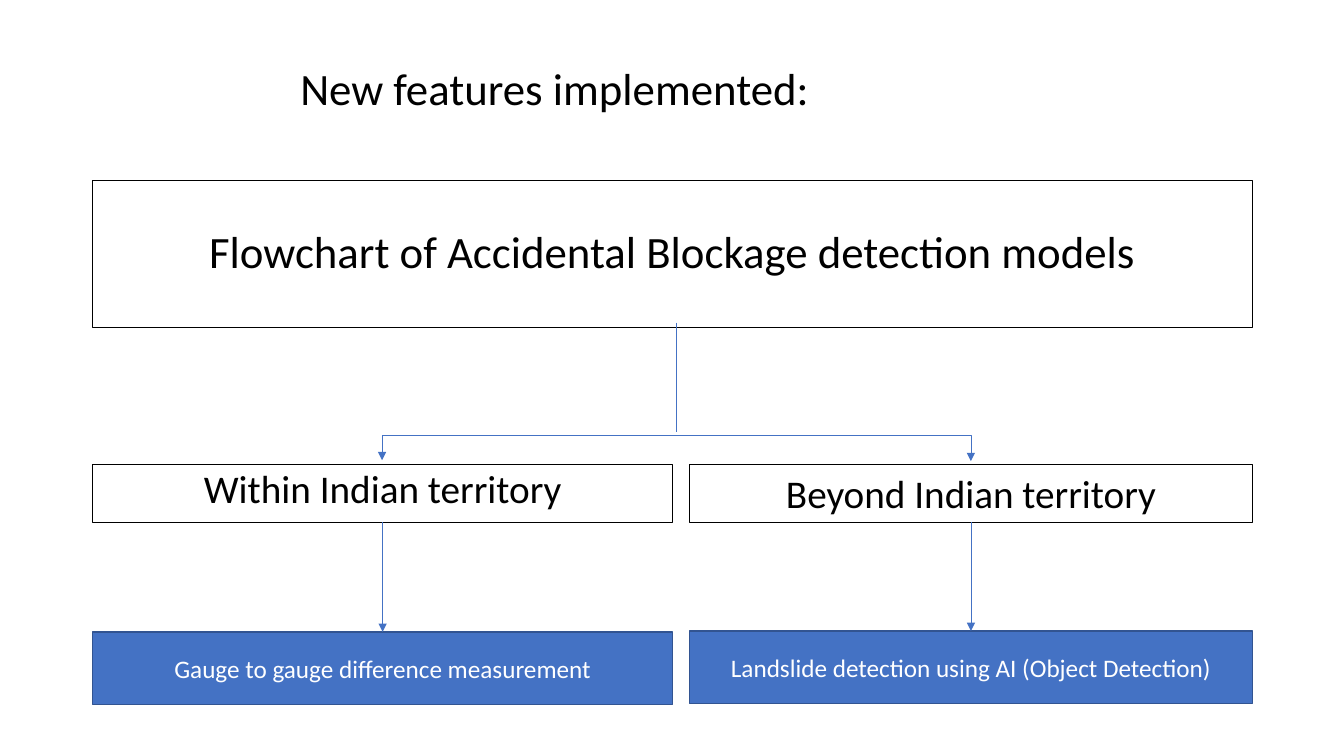
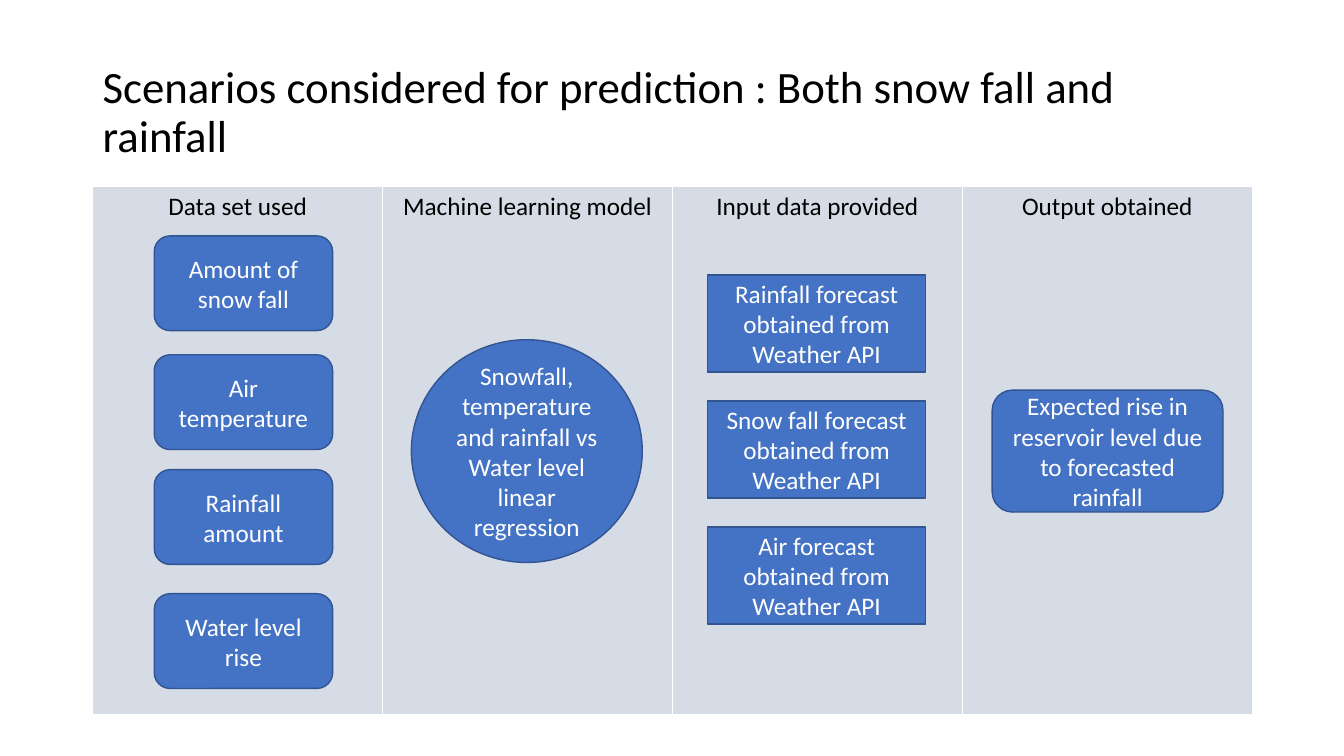
from dataclasses import dataclass

from lxml.etree import SubElement
from pptx import Presentation
from pptx.dml.color import RGBColor
from pptx.enum.shapes import MSO_CONNECTOR as Link, MSO_SHAPE as Form
from pptx.enum.text import MSO_ANCHOR as Anchor, PP_ALIGN as Align
from pptx.oxml import parse_xml
from pptx.oxml.ns import nsdecls, qn
from pptx.util import Inches, Pt


@dataclass(frozen=True)
class Theme:
    font: str = "Calibri"
    black: str = "000000"
    white: str = "FFFFFF"
    blue: str = "4472C4"
    edge: str = "325491"
    panel: str = "D6DCE5"
    title: int = 32
    heading: int = 28
    body: int = 18
    tight: float = 0.9
    left: float = 0.92
    width: float = 11.5


THEME = Theme()


def rgb(value):
    return RGBColor.from_string(value)


def write(frame, text, size, color, align=Align.CENTER, anchor=Anchor.MIDDLE, spacing=None):
    frame.word_wrap = True
    frame.vertical_anchor = anchor
    para = frame.paragraphs[0]
    para.alignment = align
    if spacing:
        para.line_spacing = spacing
    span = para.add_run()
    span.text = text
    span.font.name = THEME.font
    span.font.size = Pt(size)
    span.font.color.rgb = rgb(color)


def add_label(page, text, place, anchor=Anchor.MIDDLE, spacing=None):
    box = page.shapes.add_textbox(*map(Inches, place))
    write(box.text_frame, text, THEME.title, THEME.black, Align.LEFT, anchor, spacing)


def add_form(page, form, place, edge, weight):
    box = page.shapes.add_shape(form, *map(Inches, place))
    box.shadow.inherit = False
    box.line.color.rgb = rgb(edge)
    box.line.width = Pt(weight)
    return box


def add_outlined(page, text, place, size, anchor=Anchor.TOP, spacing=None):
    box = add_form(page, Form.RECTANGLE, place, THEME.black, 0.75)
    box.fill.background()
    write(box.text_frame, text, size, THEME.black, anchor=anchor, spacing=spacing)
    return box


def add_filled(page, text, place, form=Form.RECTANGLE):
    box = add_form(page, form, place, THEME.edge, 1)
    box.fill.solid()
    box.fill.fore_color.rgb = rgb(THEME.blue)
    write(box.text_frame, text, THEME.body, THEME.white)
    return box


def add_link(page, kind, start, end, arrows=()):
    link = page.shapes.add_connector(kind, *map(Inches, (*start, *end)))
    link.line.color.rgb = rgb(THEME.blue)
    link.line.width = Pt(0.5)
    props = link.element.spPr
    for arrow in arrows:
        SubElement(props.find(qn("a:ln")), qn(f"a:{arrow}")).set("type", "triangle")
    SubElement(props, qn("a:effectLst"))
    return link


def add_arrow(page, upper, lower):
    link = add_link(page, Link.STRAIGHT, (0, 0), (1, 1), ["tailEnd"])
    link.begin_connect(upper, 2)
    link.end_connect(lower, 0)


def add_fork(page, left, right, tip, rise):
    depth = 0.01
    span = right - left
    link = add_link(page, Link.ELBOW, (0, 0), (1, 1), ["headEnd", "tailEnd"])
    link.left = Inches((left + right - depth) / 2)
    link.top = Inches(tip - span / 2)
    link.width = Inches(depth)
    link.height = Inches(span)
    props = link.element.spPr
    turn = props.find(qn("a:xfrm"))
    turn.set("rot", "16200000")
    turn.set("flipH", "1")
    guides = props.find(qn("a:prstGeom")).get_or_add_avLst()
    guide = SubElement(guides, qn("a:gd"))
    guide.set("name", "adj1")
    guide.set("fmla", f"val {round(-rise / depth * 100000)}")


def add_cell_borders(cell):
    props = cell._tc.get_or_add_tcPr()
    for index, (side, weight) in enumerate((("L", 1), ("R", 1), ("T", 1), ("B", 3))):
        border = parse_xml(
            f'<a:ln{side} {nsdecls("a")} w="{Pt(weight)}"><a:solidFill>'
            f'<a:srgbClr val="{THEME.white}"/></a:solidFill></a:ln{side}>'
        )
        props.insert(index, border)


def add_columns(page, headings, top, height):
    place = map(Inches, (THEME.left, top, THEME.width, height))
    table = page.shapes.add_table(1, len(headings), *place).table
    table.first_row = False
    table.horz_banding = False
    for column, cell, heading in zip(table.columns, table.rows[0].cells, headings):
        column.width = Inches(THEME.width / len(headings))
        cell.fill.solid()
        cell.fill.fore_color.rgb = rgb(THEME.panel)
        add_cell_borders(cell)
        write(cell.text_frame, heading, THEME.body, THEME.black, anchor=Anchor.TOP)


def build_flowchart(page):
    add_outlined(page, "Flowchart of Accidental Blockage detection models",
                 (THEME.left, 1.79, THEME.width, 1.46), THEME.title,
                 Anchor.MIDDLE, THEME.tight)
    branches = (
        ("Within Indian territory", "Gauge to gauge difference measurement",
         THEME.left, 5.75, 6.27, THEME.tight),
        ("Beyond Indian territory", "Landslide detection using AI (Object Detection)",
         6.84, 5.58, 6.26, None),
    )
    for region, method, left, width, top, spacing in branches:
        upper = add_outlined(page, region, (left, 4.61, width, 0.57),
                             THEME.heading, spacing=spacing)
        lower = add_filled(page, method, (left, top, width, 0.72))
        add_arrow(page, upper, lower)
    add_fork(page, 3.79, 9.63, 4.57, 0.25)
    add_label(page, "New features implemented:", (2.88, 0.55, 6.1, 0.64), Anchor.TOP)
    add_link(page, Link.STRAIGHT, (6.71, 3.2), (6.71, 4.29))


def build_scenarios(page):
    add_label(page, "Scenarios considered for prediction : Both snow fall and rainfall",
              (THEME.left, 0.4, THEME.width, 1.45), spacing=THEME.tight)
    add_columns(page, ("Data set used", "Machine learning model",
                       "Input data provided", "Output obtained"), 1.85, 5.25)
    measures = (("Amount of snow fall", 2.34), ("Air temperature", 3.52),
                ("Rainfall amount", 4.66), ("Water level rise", 5.89))
    for measure, top in measures:
        add_filled(page, measure, (1.53, top, 1.77, 0.94), Form.ROUNDED_RECTANGLE)
    add_filled(page, "Snowfall, temperature and rainfall vs Water level linear regression",
               (4.08, 3.37, 2.29, 2.21), Form.OVAL)
    for index, subject in enumerate(("Rainfall", "Snow fall", "Air")):
        add_filled(page, f"{subject} forecast obtained from Weather API",
                   (7.02, 2.73 + 1.25 * index, 2.16, 0.96))
    add_filled(page, "Expected rise in reservoir level due to forecasted rainfall",
               (9.84, 3.87, 2.29, 1.21), Form.ROUNDED_RECTANGLE)


def main():
    deck = Presentation()
    deck.slide_width = Inches(13.33)
    deck.slide_height = Inches(7.5)
    for build in (build_flowchart, build_scenarios):
        build(deck.slides.add_slide(deck.slide_layouts[6]))
    deck.save("out.pptx")


if __name__ == "__main__":
    main()
